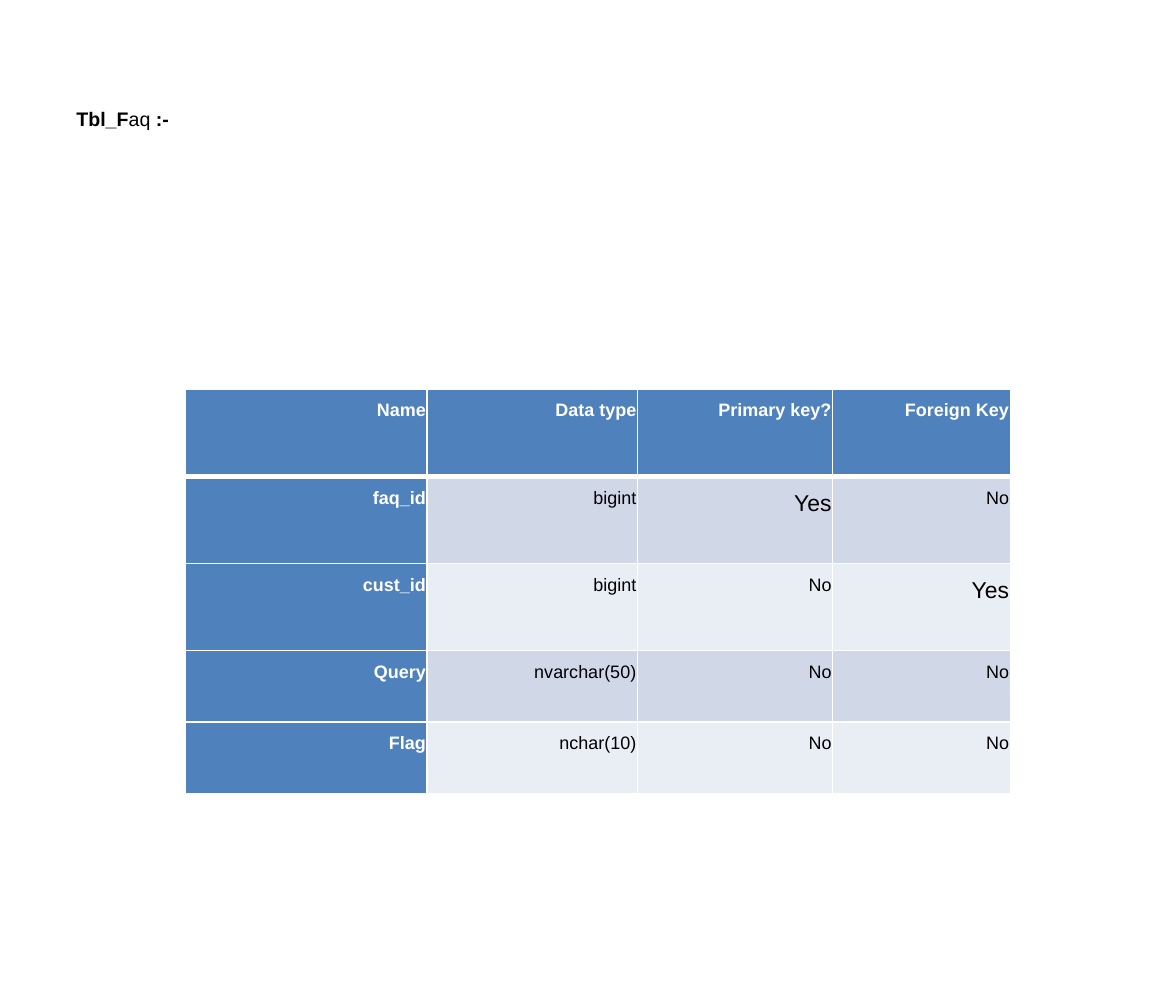
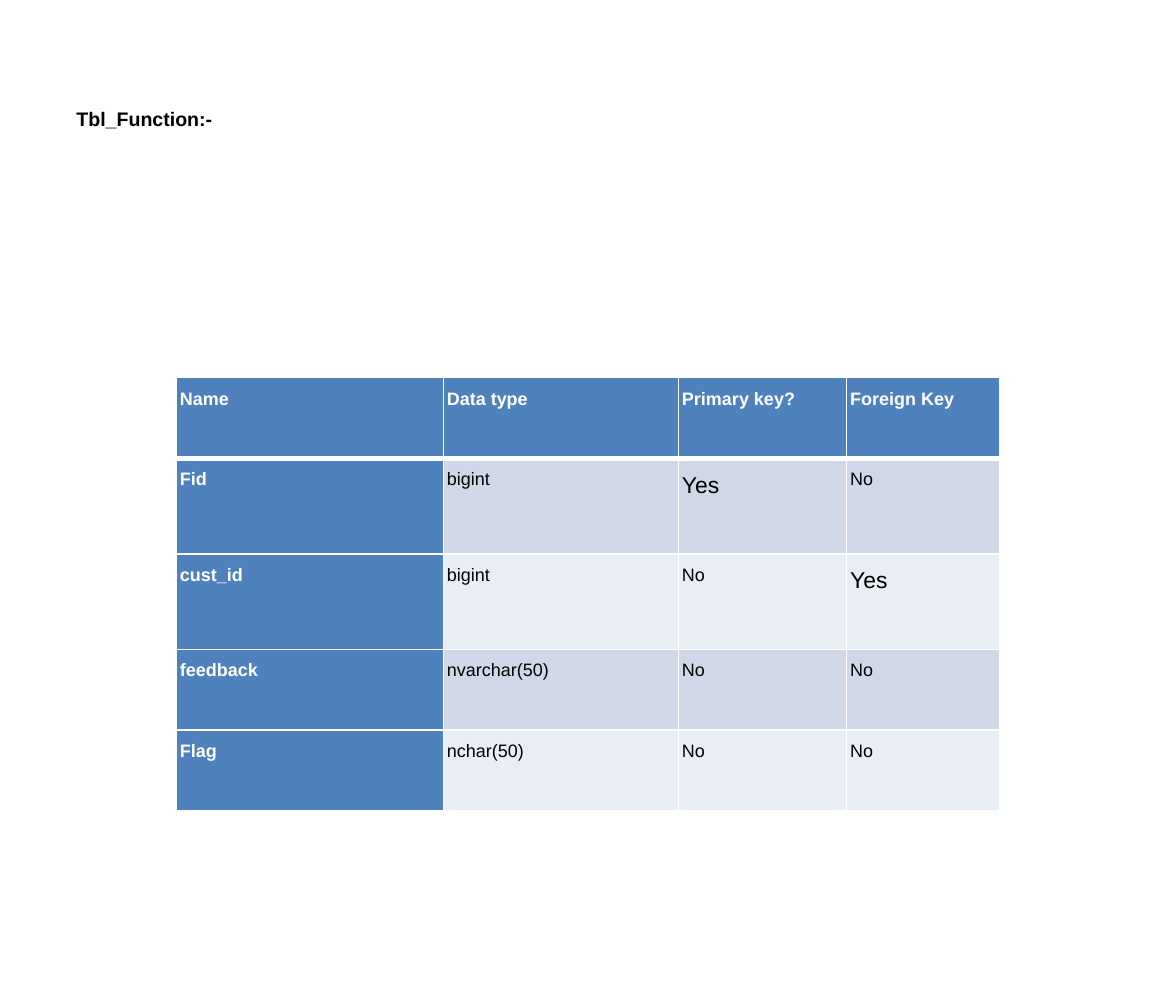
import pptx
import pptx.dml.color
import pptx.enum.text
import pptx.oxml
import pptx.util
from pptx.oxml.ns import nsdecls

Pt = pptx.util.Pt
Align = pptx.enum.text.PP_ALIGN

FONT = "Arial"
WHITE, BLACK, BLUE = "FFFFFF", "000000", "4F81BD"
BANDS = ("D0D8E8", "E9EDF4")
HEADER = ("Name", "Data type", "Primary key?", "Foreign Key")

PAGES = [
    {
        "title": [("Tbl_F", True), ("aq ", False), (":-", True)],
        "title_width": 72,
        "align": Align.RIGHT,
        "corner": (113.2, 238.4),
        "columns": (148.3, 128.9, 119.5, 108.7),
        "heights": (53.3, 53.3, 53.3, 43.7, 43.7),
        "fields": [
            ("faq_id", "bigint", "Yes", "No"),
            ("cust_id", "bigint", "No", "Yes"),
            ("Query", "nvarchar(50)", "No", "No"),
            ("Flag", "nchar(10)", "No", "No"),
        ],
    },
    {
        "title": [("Tbl_Function:-", True)],
        "title_width": 98.6,
        "align": Align.LEFT,
        "corner": (108, 231.1),
        "columns": (163.4, 144, 103, 93.6),
        "heights": (49.5, 58.4, 58.4, 49.4, 49.4),
        "fields": [
            ("Fid", "bigint", "Yes", "No"),
            ("cust_id", "bigint", "No", "Yes"),
            ("feedback", "nvarchar(50)", "No", "No"),
            ("Flag", "nchar(50)", "No", "No"),
        ],
    },
]


def rgb(color):
    return pptx.dml.color.RGBColor.from_string(color)


def style_font(font, size, color, bold):
    font.name = FONT
    font.size = Pt(size)
    font.bold = bold
    font.color.rgb = rgb(color)


def add_title(page, pieces, width):
    title = page.shapes.title
    title.left, title.top = Pt(39.6), Pt(61.9)
    title.width, title.height = Pt(width), Pt(51.1)
    frame = title.text_frame
    frame.auto_size = pptx.enum.text.MSO_AUTO_SIZE.NONE
    frame.word_wrap = False
    frame.vertical_anchor = pptx.enum.text.MSO_ANCHOR.TOP
    para = frame.paragraphs[0]
    para.alignment = Align.LEFT
    for text, bold in pieces:
        span = para.add_run()
        span.text = text
        style_font(span.font, 12, BLACK, bold)


def set_borders(cell, row):
    widths = {"L": 1, "R": 1, "T": 3 if row == 1 else 1, "B": 3 if row == 0 else 1}
    properties = cell._tc.get_or_add_tcPr()
    for side, width in widths.items():
        properties.append(pptx.oxml.parse_xml(
            f'<a:ln{side} {nsdecls("a")} w="{Pt(width)}"><a:solidFill>'
            f'<a:srgbClr val="{WHITE}"/></a:solidFill></a:ln{side}>'))


def fill_cell(cell, text, row, column, align):
    heading = row == 0 or column == 0
    cell.margin_left = cell.margin_right = Pt(0.72)
    cell.margin_top = cell.margin_bottom = Pt(0.72)
    set_borders(cell, row)
    cell.fill.solid()
    cell.fill.fore_color.rgb = rgb(BLUE if heading else BANDS[(row - 1) % 2])
    para = cell.text_frame.paragraphs[0]
    para.text = text
    para.alignment = align
    para.line_spacing = 1.5
    indent = para._p.get_or_add_pPr()
    indent.set("marL", str(Pt(1.44)))
    indent.set("indent", "0")
    size = 14 if text == "Yes" else 11
    style_font(para.runs[0].font, size, WHITE if heading else BLACK, heading)


def add_field_table(page, content):
    columns, heights = content["columns"], content["heights"]
    left, top = content["corner"]
    table = page.shapes.add_table(
        len(heights), len(columns), Pt(left), Pt(top),
        Pt(sum(columns)), Pt(sum(heights))).table
    table.first_col = True
    for column, width in zip(table.columns, columns):
        column.width = Pt(width)
    for row, height in zip(table.rows, heights):
        row.height = Pt(height)
    for row, values in enumerate([HEADER] + content["fields"]):
        for column, text in enumerate(values):
            fill_cell(table.cell(row, column), text, row, column, content["align"])


def main():
    deck = pptx.Presentation()
    deck.slide_width, deck.slide_height = Pt(720), Pt(612)
    for content in PAGES:
        page = deck.slides.add_slide(deck.slide_layouts.get_by_name("Title Only"))
        add_title(page, content["title"], content["title_width"])
        add_field_table(page, content)
    deck.save("out.pptx")


if __name__ == "__main__":
    main()
